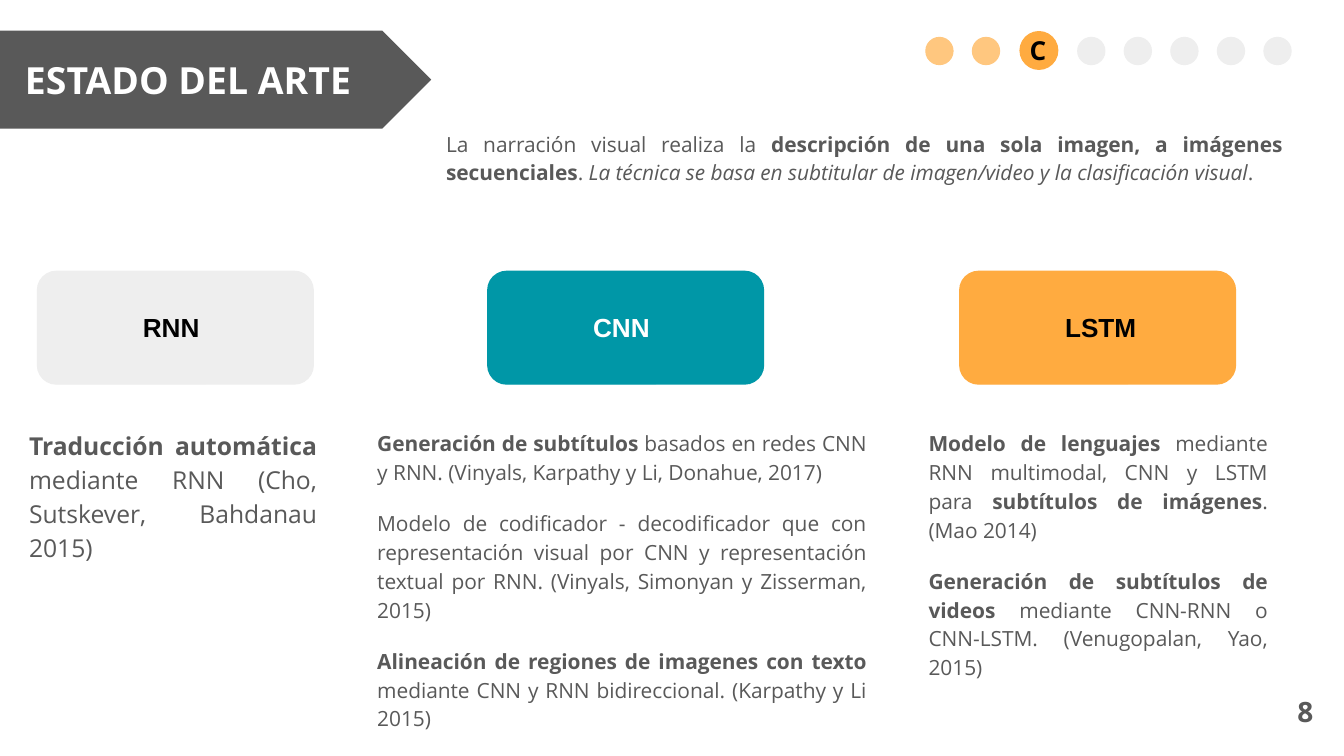
from pptx import Presentation
from pptx.dml.color import RGBColor
from pptx.enum.shapes import MSO_SHAPE
from pptx.enum.text import MSO_ANCHOR, PP_ALIGN
from pptx.util import Cm, Pt

GREY, PALE, ORANGE, PEACH, TEAL = "595959", "EEEEEE", "FFAB40", "FFC77F", "0097A7"
BLACK, WHITE = "000000", "FFFFFF"

INTRO = [[("La narración visual realiza la ", ""),
          ("descripción de una sola imagen, a imágenes secuenciales", "b"), (". ", ""),
          ("La técnica se basa en subtitular de imagen/video y la clasificación visual", "i"),
          (".", "")]]
RNN = [[("Traducción automática ", "b"),
        ("mediante RNN (Cho, Sutskever, Bahdanau 2015)", "")]]
CNN = [[("Generación de subtítulos ", "b"),
        ("basados en redes CNN y RNN. (Vinyals, Karpathy y Li, Donahue, 2017)", "")],
       [("Modelo de codificador - decodificador que con representación visual por CNN "
         "y representación textual por RNN. (Vinyals, Simonyan y Zisserman, 2015)", "")],
       [("Alineación de regiones de imagenes con texto ", "b"),
        ("mediante CNN y RNN bidireccional. (Karpathy y Li 2015)", "")]]
LSTM = [[("Modelo de lenguajes ", "b"),
         ("mediante RNN multimodal, CNN y LSTM para ", ""),
         ("subtítulos de imágenes", "b"), (". (Mao 2014)", "")],
        [("Generación de subtítulos de videos ", "b"),
         ("mediante CNN-RNN o CNN-LSTM. (Venugopalan, Yao, 2015)", "")]]


def rgb(value):
    """Return the colour for a hex string."""
    return RGBColor.from_string(value)


def set_font(p, size, color, name="Open Sans", bold=None):
    """Set the font of a whole paragraph."""
    p.font.size, p.font.name, p.font.bold = Pt(size), name, bold
    p.font.color.rgb = rgb(color)


def add_shape(shapes, kind, x, y, w, h, fill, outlined=True):
    """Add a flat filled shape, outlined in its own colour if asked."""
    sp = shapes.add_shape(kind, Cm(x), Cm(y), Cm(w), Cm(h))
    sp.shadow.inherit = False
    sp.fill.solid()
    sp.fill.fore_color.rgb = rgb(fill)
    if outlined:
        sp.line.color.rgb = rgb(fill)
        sp.line.width = Pt(0.75)
    else:
        sp.line.fill.background()
    return sp


def set_margins(tf):
    """Give a text frame equal margins and wrapping."""
    tf.word_wrap = True
    tf.margin_left = tf.margin_right = tf.margin_top = tf.margin_bottom = Cm(0.25)


def add_text_frame(shapes, x, y, w, h):
    """Add a text box and return its text frame."""
    tf = shapes.add_textbox(Cm(x), Cm(y), Cm(w), Cm(h)).text_frame
    set_margins(tf)
    return tf


def add_label(shapes, x, y, w, h, text, size, color, name="Open Sans"):
    """Add a one-line bold label and return its text frame."""
    tf = add_text_frame(shapes, x, y, w, h)
    p = tf.paragraphs[0]
    p.text = text
    set_font(p, size, color, name, True)
    return tf


def add_body(shapes, x, y, w, h, paragraphs, size=11.2):
    """Add justified paragraphs whose runs may be bold or italic."""
    tf = add_text_frame(shapes, x, y, w, h)
    for i, runs in enumerate(paragraphs):
        p = tf.add_paragraph() if i else tf.paragraphs[0]
        p.alignment, p.line_spacing = PP_ALIGN.JUSTIFY, 1.15
        p.space_before = Pt(12 if i else 0)
        set_font(p, size, GREY)
        for text, style in runs:
            r = p.add_run()
            r.text = text
            r.font.bold, r.font.italic = style == "b", style == "i"


def add_title(shapes, text):
    """Add the chevron that carries the slide title."""
    sp = add_shape(shapes, MSO_SHAPE.CHEVRON, -1.04, 0.58, 9.19, 1.85, GREY, False)
    tf = sp.text_frame
    set_margins(tf)
    tf.vertical_anchor = MSO_ANCHOR.MIDDLE
    p = tf.paragraphs[0]
    p.text, p.alignment = text, PP_ALIGN.CENTER
    set_font(p, 20, WHITE, bold=True)


def add_progress(shapes):
    """Add the row of section dots with the current section marked."""
    grp = shapes.add_group_shape().shapes
    for start, count, color in ((17.5, 2, PEACH), (20.37, 5, PALE)):
        for i in range(count):
            add_shape(grp, MSO_SHAPE.OVAL, start + 0.88 * i, 0.71, 0.51, 0.51, color)
    add_shape(grp, MSO_SHAPE.OVAL, 19.28, 0.6, 0.71, 0.71, ORANGE)
    add_label(grp, 19.21, 0.41, 0.85, 1.09, "C", 14, BLACK)


def add_card(shapes, x, text, fill, color):
    """Add a rounded heading card with its label."""
    grp = shapes.add_group_shape().shapes
    add_shape(grp, MSO_SHAPE.ROUNDED_RECTANGLE, x, 5.13, 5.21, 2.13, fill)
    add_label(grp, x + 1.74, 5.64, 2.1, 1.12, text, 14, color, "Arial")


def main():
    """Build the slide and save it."""
    prs = Presentation()
    prs.slide_width, prs.slide_height = Cm(25.4), Cm(14.29)
    s = prs.slides.add_slide(prs.slide_layouts[6])
    shapes = s.shapes

    add_title(shapes, "ESTADO DEL ARTE")
    add_progress(shapes)
    add_body(shapes, 8.18, 2.16, 16.31, 1.55, INTRO)

    add_card(shapes, 0.71, "RNN", PALE, BLACK)
    add_card(shapes, 9.22, "CNN", TEAL, WHITE)
    add_card(shapes, 18.14, "LSTM", ORANGE, BLACK)
    add_body(shapes, 0.3, 7.82, 5.94, 2.64, RNN, 13.2)
    add_body(shapes, 6.88, 7.82, 9.75, 6.12, CNN)
    add_body(shapes, 17.3, 7.82, 6.91, 5.05, LSTM)

    tf = add_label(shapes, 23.55, 12.95, 1.52, 1.09, "8", 15, GREY)
    tf.vertical_anchor = MSO_ANCHOR.MIDDLE
    tf.paragraphs[0].alignment = PP_ALIGN.RIGHT
    tf.paragraphs[0].line_spacing = 0.9
    prs.save("out.pptx")


if __name__ == "__main__":
    main()
